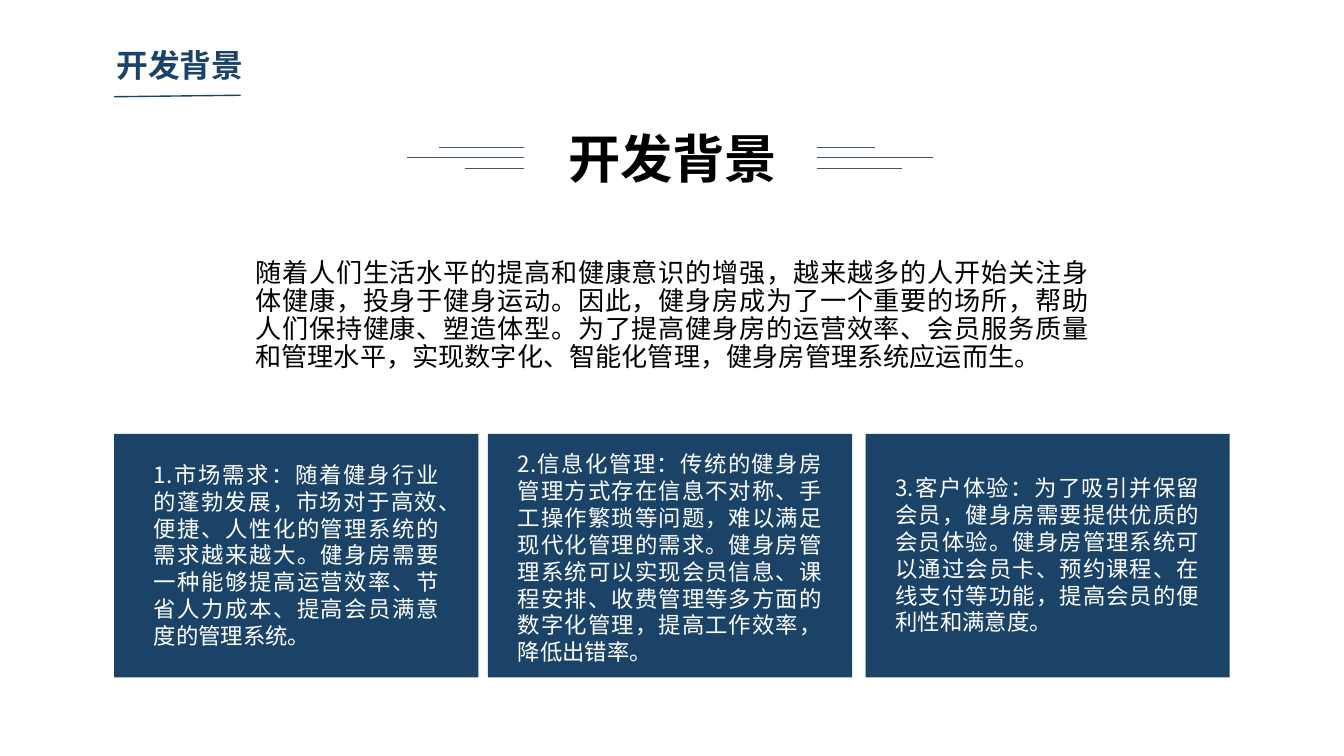
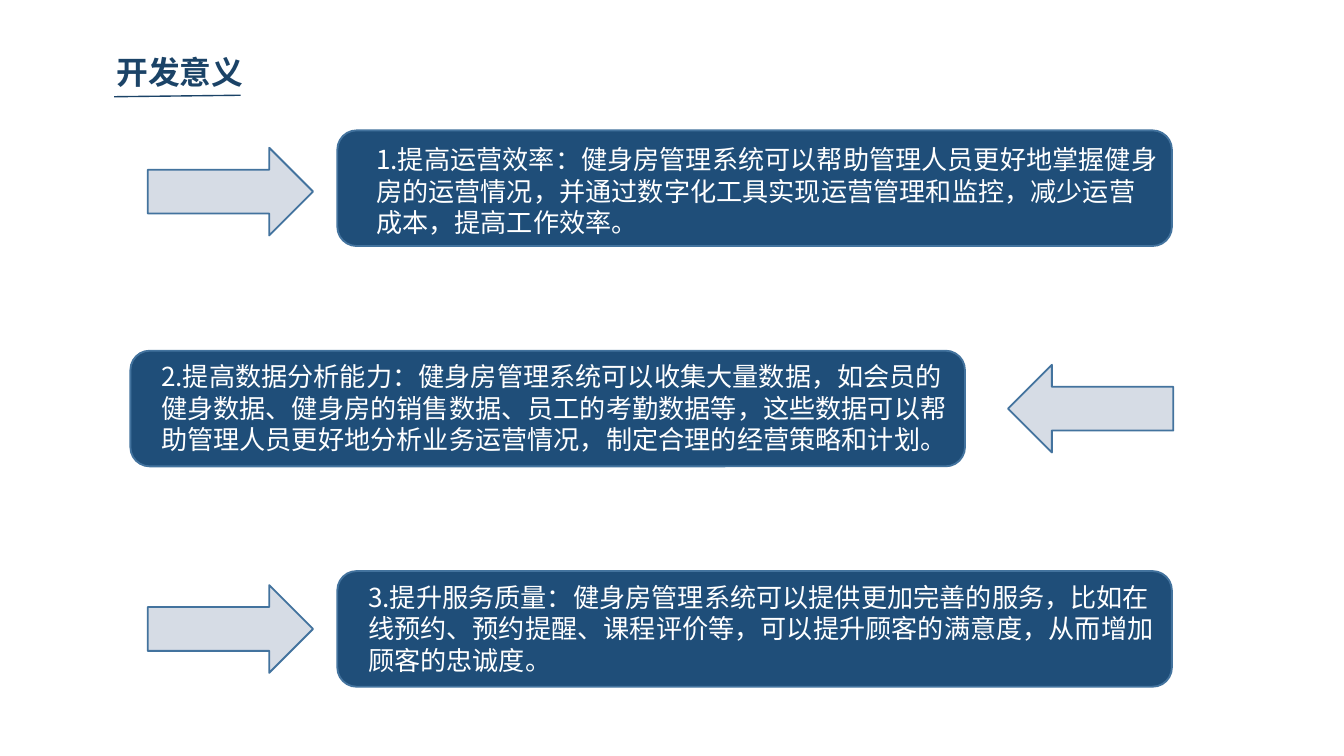
from lxml import etree
from pptx import Presentation
from pptx.dml.color import RGBColor
from pptx.enum.shapes import MSO_CONNECTOR, MSO_SHAPE
from pptx.enum.text import MSO_ANCHOR, MSO_AUTO_SIZE, PP_ALIGN
from pptx.oxml.ns import qn
from pptx.util import Inches, Pt

NAVY = RGBColor(0x1B, 0x43, 0x67)
BAR_BLUE = RGBColor(0x1F, 0x4E, 0x79)
EDGE_BLUE = RGBColor(0x43, 0x73, 0x9E)
PALE_BLUE = RGBColor(0xD6, 0xDC, 0xE5)
SLATE = RGBColor(0x44, 0x54, 0x6A)
BLACK = RGBColor(0, 0, 0)
WHITE = RGBColor(0xFF, 0xFF, 0xFF)
FONT = "Noto Sans CJK SC"

# A 16:9 page
deck = Presentation()
deck.slide_width = Inches(10)
deck.slide_height = deck.slide_width * 9 // 16

# Grid of 100 columns by 100 rows
COL, ROW = deck.slide_width / 100, deck.slide_height / 100


def write(box, text, size, color, align=PP_ALIGN.LEFT, bold=False, insets=(0.1, 0.05)):
    frame = box.text_frame
    frame.text = text
    side, end = (Inches(inset) for inset in insets)
    layout = {"word_wrap": True, "vertical_anchor": MSO_ANCHOR.TOP,
              "auto_size": MSO_AUTO_SIZE.NONE, "margin_left": side,
              "margin_right": side, "margin_top": end, "margin_bottom": end}
    for name, value in layout.items():
        setattr(frame, name, value)
    paragraph = frame.paragraphs[0]
    paragraph.alignment = align
    font = paragraph.runs[0].font
    for name, value in {"name": FONT, "size": Pt(size), "bold": bold}.items():
        setattr(font, name, value)
    font.color.rgb = color
    latin = paragraph.runs[0].font._element.find(qn("a:latin"))
    east_asian = etree.Element(qn("a:ea"), typeface=FONT)
    latin.addnext(east_asian)
    return paragraph


def draw_line(slide, x1, y1, x2, y2, color, width):
    line = slide.shapes.add_connector(
        MSO_CONNECTOR.STRAIGHT, *(round(v) for v in (x1 * COL, y1 * ROW, x2 * COL, y2 * ROW)))
    line.line.color.rgb = color
    line.line.width = Pt(width)
    etree.SubElement(line._element.spPr, qn("a:effectLst"))


# Both slides: small title with a slightly tilted underline
slides = []
for title_text, title_row in (("开发背景", 5.3), ("开发意义", 6.2)):
    slide = deck.slides.add_slide(deck.slide_layouts[5])
    title = slide.shapes.title
    place = {"left": 7.95 * COL, "top": title_row * ROW, "width": 24.7 * COL, "height": 6.4 * ROW}
    for name, value in place.items():
        setattr(title, name, round(value))
    write(title, title_text, 17, NAVY, bold=True, insets=(0.07, 0.04))
    draw_line(slide, 8.5, 12.8, 17.9, 12.6, NAVY, 0.75)
    slides.append(slide)
background, significance = slides

# Background: heading between two sets of lines
heading = background.shapes.add_textbox(
    round(37.4 * COL), round(16.7 * ROW), round(25.3 * COL), round(8.4 * ROW))
write(heading, "开发背景", 28, BLACK, PP_ALIGN.CENTER, bold=True, insets=(0, 0))
for row, left_end, right_end in ((19.55, 32.7, 65.1), (20.8, 30.3, 69.4), (22.25, 34.6, 67.1)):
    draw_line(background, 39, row, left_end, row, SLATE, 0.5)
    draw_line(background, 60.8, row, right_end, row, SLATE, 0.5)

# Background: introduction
intro = background.shapes.add_textbox(
    round(18.3 * COL), round(33.7 * ROW), round(63.4 * COL), round(16.4 * ROW))
write(intro, "随着人们生活水平的提高和健康意识的增强，越来越多的人开始关注身体健康，"
      "投身于健身运动。因此，健身房成为了一个重要的场所，帮助人们保持健康、塑造体型。"
      "为了提高健身房的运营效率、会员服务质量和管理水平，实现数字化、智能化管理，"
      "健身房管理系统应运而生。", 14, BLACK, PP_ALIGN.JUSTIFY,
      insets=(0.07, 0.04)).line_spacing = Pt(15)

# Background: three cards, each with its text centred in it or slightly lower
CARD_TOP, CARD_W, CARD_H = 57.4, 27.1, 32.2
reasons = [
    ("1.市场需求：随着健身行业的蓬勃发展，市场对于高效、便捷、人性化的管理系统的需求"
     "越来越大。健身房需要一种能够提高运营效率、节省人力成本、提高会员满意度的管理系统。",
     8.5, 23.2, 26.8, 0),
    ("2.信息化管理：传统的健身房管理方式存在信息不对称、手工操作繁琐等问题，难以满足"
     "现代化管理的需求。健身房管理系统可以实现会员信息、课程安排、收费管理等多方面的"
     "数字化管理，提高工作效率，降低出错率。", 36.3, 24.6, 30.6, 0.5),
    ("3.客户体验：为了吸引并保留会员，健身房需要提供优质的会员体验。健身房管理系统可以"
     "通过会员卡、预约课程、在线支付等功能，提高会员的便利性和满意度。",
     64.4, 24.6, 23.3, 0),
]
for reason, left, text_w, text_h, drop in reasons:
    card = background.shapes.add_shape(
        MSO_SHAPE.RECTANGLE, round(left * COL), round(CARD_TOP * ROW),
        round(CARD_W * COL), round(CARD_H * ROW))
    card.shadow.inherit = False
    card.fill.solid()
    card.fill.fore_color.rgb = NAVY
    card.line.fill.background()
    caption = background.shapes.add_textbox(
        round((left + (CARD_W - text_w) / 2) * COL),
        round((CARD_TOP + (CARD_H - text_h) / 2 + drop) * ROW),
        round(text_w * COL), round(text_h * ROW))
    write(caption, reason, 12, WHITE, PP_ALIGN.JUSTIFY)

# Significance: three bars, each with an arrow pointing at it
BAR_TOP, BAR_PITCH, BAR_W, BAR_H = 17.25, 29.15, 62.1, 15.3
ARROW_W, ARROW_H, TEXT_H = 12.3, 11.6, 14.4
benefits = [
    ("1.提高运营效率：健身房管理系统可以帮助管理人员更好地掌握健身房的运营情况，"
     "并通过数字化工具实现运营管理和监控，减少运营成本，提高工作效率。",
     25.1, 27, 60.2, 11, 0, 0.45),
    ("2.提高数据分析能力：健身房管理系统可以收集大量数据，如会员的健身数据、"
     "健身房的销售数据、员工的考勤数据等，这些数据可以帮助管理人员更好地分析业务"
     "运营情况，制定合理的经营策略和计划。", 9.7, 11, 60.8, 75, 180, 0),
    ("3.提升服务质量：健身房管理系统可以提供更加完善的服务，比如在线预约、预约提醒、"
     "课程评价等，可以提升顾客的满意度，从而增加顾客的忠诚度。",
     25.1, 26.4, 60.8, 11, 0, 0),
]
for i, (benefit, bar_left, text_left, text_w, arrow_left, turn, drop) in enumerate(benefits):
    middle = BAR_TOP + i * BAR_PITCH + BAR_H / 2
    for kind, left, center, width, height, fill, rotation in (
            (MSO_SHAPE.ROUNDED_RECTANGLE, bar_left, middle, BAR_W, BAR_H, BAR_BLUE, 0),
            (MSO_SHAPE.RIGHT_ARROW, arrow_left, middle + drop, ARROW_W, ARROW_H,
             PALE_BLUE, turn)):
        part = significance.shapes.add_shape(
            kind, round(left * COL), round((center - height / 2) * ROW),
            round(width * COL), round(height * ROW))
        part.shadow.inherit = False
        part.rotation = rotation
        part.fill.solid()
        part.fill.fore_color.rgb = fill
        part.line.color.rgb = EDGE_BLUE
        part.line.width = Pt(1)
    caption = significance.shapes.add_textbox(
        round(text_left * COL), round((middle + drop - TEXT_H / 2) * ROW),
        round(text_w * COL), round(TEXT_H * ROW))
    write(caption, benefit, 14, WHITE)

deck.save("out.pptx")
